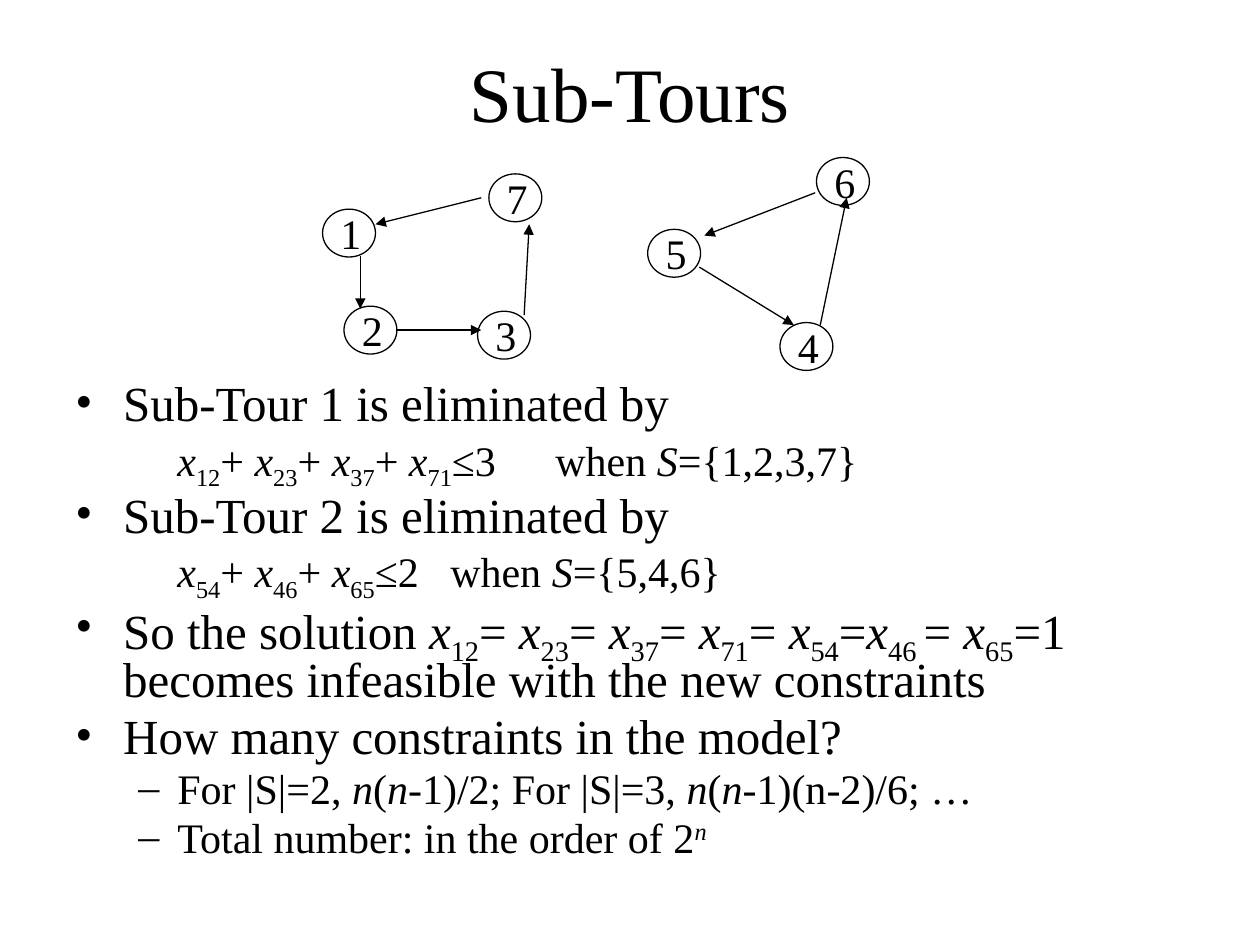
"""Builds the slide on sub-tours and the constraints that remove them."""
from dataclasses import dataclass
from typing import Any, NamedTuple

from lxml.etree import SubElement as Sub
from pptx import Presentation
from pptx.dml.color import RGBColor as Rgb
from pptx.enum.shapes import MSO_CONNECTOR as Link, MSO_SHAPE as Shape
from pptx.enum.text import MSO_ANCHOR as Anchor, PP_ALIGN as Align
from pptx.oxml.ns import qn
from pptx.util import Inches, Pt


@dataclass(frozen=True)
class Theme:
    font: str = "Times New Roman"
    ink: Rgb = Rgb(0, 0, 0)
    paper: Rgb = Rgb(255, 255, 255)
    title: Pt = Pt(44)
    main: Pt = Pt(28)
    small: Pt = Pt(24)
    line: Pt = Pt(0.75)


class Node(NamedTuple):
    name: str
    left: float
    top: float


class Edge(NamedTuple):
    start: tuple[float, float]
    end: tuple[float, float]


class Item(NamedTuple):
    text: str
    level: int = 0
    mark: str = ""


THEME = Theme()
WIDE, HIGH = 0.42, 0.38
MARKS = {"*": {"i": "1"}, "_": {"baseline": "-25000"}, "^": {"i": "1", "baseline": "30000"}}
INDENTS = ((0.38, -0.38), (0.81, -0.31))

NODES = (
    Node("1", 2.56, 1.66), Node("2", 2.73, 2.43), Node("3", 3.79, 2.47),
    Node("7", 3.88, 1.38), Node("5", 5.14, 1.82), Node("6", 6.48, 1.25),
    Node("4", 6.19, 2.56),
)
EDGES = (
    Edge((2.86, 2.03), (2.86, 2.45)), Edge((3.15, 2.62), (3.82, 2.62)),
    Edge((4.16, 2.5), (4.2, 1.78)), Edge((3.82, 1.57), (2.98, 1.78)),
    Edge((5.55, 2.12), (6.3, 2.58)), Edge((6.51, 2.58), (6.72, 1.57)),
    Edge((6.47, 1.53), (5.59, 1.87)),
)


def join(sign: str, *pairs: str) -> str:
    """Joins the variables of the given arcs with a sign."""
    return sign.join(f"*x*_{pair}_" for pair in pairs)


ITEMS = (
    Item("Sub-Tour 1 is eliminated by", 0, "•"),
    Item(join("+ ", "12", "23", "37", "71") + "≤3 \twhen *S*={1,2,3,7}", 1),
    Item("Sub-Tour 2 is eliminated by", 0, "•"),
    Item(join("+ ", "54", "46", "65") + "≤2   when *S*={5,4,6}", 1),
    Item("So the solution " + join("= ", "12", "23", "37", "71", "54") + "="
         + join("= ", "46 ", "65") + "=1 becomes infeasible with the new constraints", 0, "•"),
    Item("How many constraints in the model?", 0, "•"),
    Item("For |S|=2, *n*(*n*-1)/2; For |S|=3, *n*(*n*-1)(n-2)/6; …", 1, "–"),
    Item("Total number: in the order of 2^n^", 1, "–"),
)


def apply(target: Any, form: dict[str, Any]) -> None:
    """Sets each value of the format on the target."""
    for name, value in form.items():
        setattr(target, name, value)


def split(text: str) -> list[tuple[str, str]]:
    """Cuts marked text into pairs of mark and words."""
    parts, mark, words = [], "", ""
    for char in text:
        if char in MARKS:
            parts.append((mark, words))
            mark, words = ("" if mark else char), ""
        else:
            words += char
    return [part for part in parts + [(mark, words)] if part[1]]


def write(para: Any, text: str, size: Pt) -> None:
    """Writes marked text as runs of one size."""
    for mark, words in split(text):
        run = para.add_run()
        run.text = words
        apply(run.font, {"name": THEME.font, "size": size})
        run.font.color.rgb = THEME.ink
        for key, value in MARKS.get(mark, {}).items():
            run.font._element.set(key, value)


def add_frame(slide: Any, box: tuple[float, ...], anchor: Any = Anchor.TOP) -> Any:
    """Adds a wrapped text box and returns its frame."""
    frame = slide.shapes.add_textbox(*map(Inches, box)).text_frame
    apply(frame, {"word_wrap": True, "vertical_anchor": anchor})
    return frame


def add_label(slide: Any, box: tuple[float, ...], text: str, size: Pt, anchor: Any) -> None:
    """Adds one centred line of text."""
    para = add_frame(slide, box, anchor).paragraphs[0]
    para.alignment = Align.CENTER
    write(para, text, size)


def add_item(para: Any, item: Item) -> None:
    """Fills a body paragraph with its indent, mark and text."""
    apply(para, {"level": item.level, "line_spacing": 0.8})
    props = para._p.get_or_add_pPr()
    left, first = INDENTS[item.level]
    props.set("marL", str(Inches(left)))
    props.set("indent", str(Inches(first if item.mark else 0)))
    Sub(Sub(props, qn("a:spcBef")), qn("a:spcPct"), val="20000")
    if item.mark:
        Sub(props, qn("a:buFont"), typeface=THEME.font)
        Sub(props, qn("a:buChar"), char=item.mark)
    else:
        Sub(props, qn("a:buNone"))
    write(para, item.text, THEME.small if item.level else THEME.main)


def add_node(slide: Any, node: Node) -> None:
    """Draws a numbered node."""
    box = map(Inches, (node.left, node.top, WIDE, HIGH))
    oval = slide.shapes.add_shape(Shape.OVAL, *box)
    oval.shadow.inherit = False
    oval.fill.solid()
    oval.fill.fore_color.rgb = THEME.paper
    oval.line.color.rgb = THEME.ink
    oval.line.width = THEME.line
    area = (node.left - 0.05, node.top - 0.06, 0.55, 0.5)
    add_label(slide, area, node.name, THEME.small, Anchor.TOP)


def add_edge(slide: Any, edge: Edge) -> None:
    """Draws an arrow from start to end."""
    ends = map(Inches, edge.start + edge.end)
    arrow = slide.shapes.add_connector(Link.STRAIGHT, *ends)
    arrow.line.color.rgb = THEME.ink
    arrow.line.width = THEME.line
    Sub(arrow.line._get_or_add_ln(), qn("a:tailEnd"), type="triangle")
    Sub(arrow._element.spPr, qn("a:effectLst"))


def main() -> None:
    """Builds and saves the slide."""
    deck = Presentation()
    apply(deck, {"slide_width": Inches(10), "slide_height": Inches(7.5)})
    slide = deck.slides.add_slide(deck.slide_layouts[6])
    add_label(slide, (0.5, 0.1, 9, 1.25), "Sub-Tours", THEME.title, Anchor.MIDDLE)
    body = add_frame(slide, (0.5, 3, 9, 3.99))
    for index, item in enumerate(ITEMS):
        add_item(body.add_paragraph() if index else body.paragraphs[0], item)
    for node in NODES:
        add_node(slide, node)
    for edge in EDGES:
        add_edge(slide, edge)
    deck.save("out.pptx")


if __name__ == "__main__":
    main()
